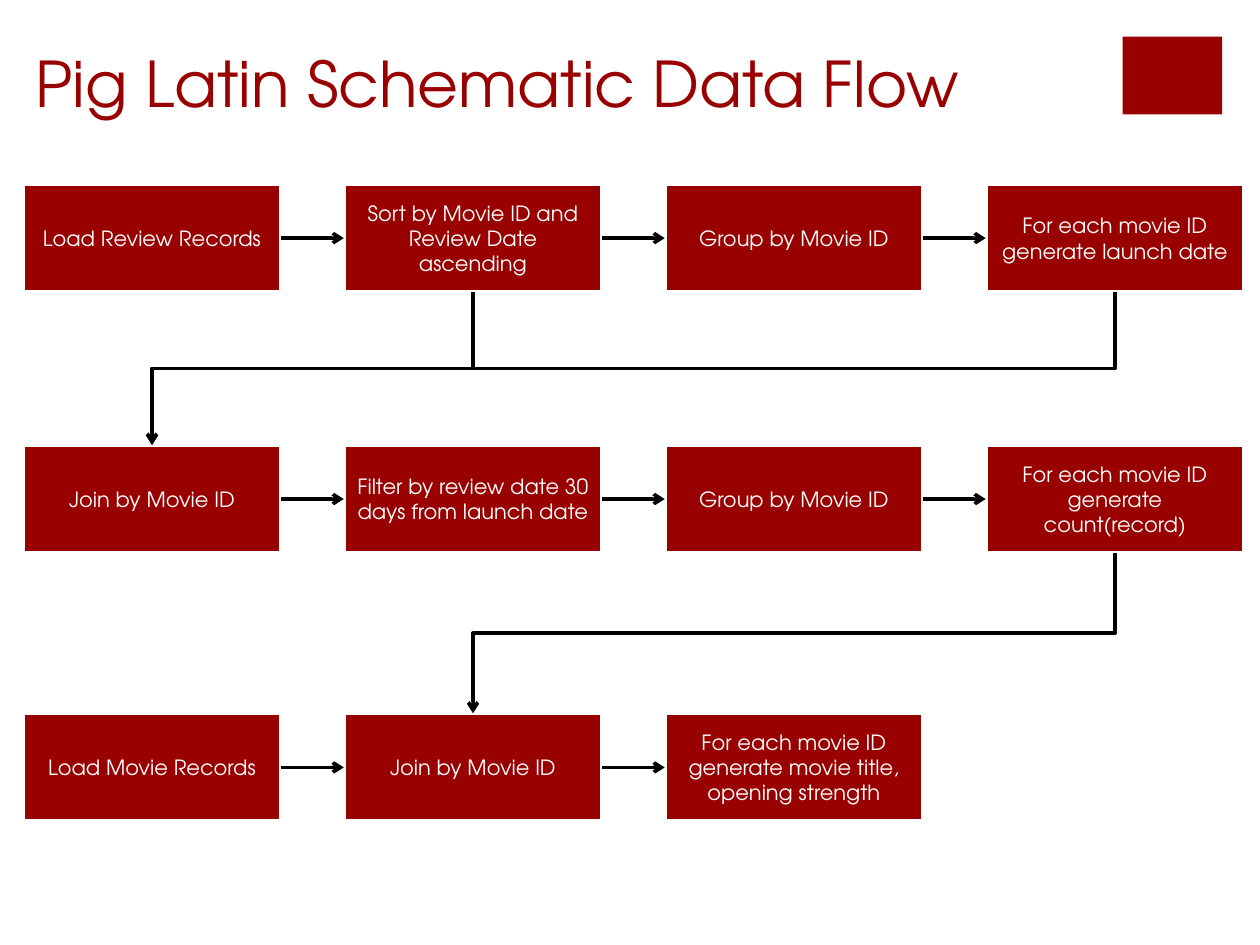
from dataclasses import dataclass

from lxml.etree import SubElement
from pptx import Presentation
from pptx.dml.color import RGBColor
from pptx.enum.shapes import MSO_CONNECTOR as Link, MSO_SHAPE as Preset
from pptx.enum.text import MSO_ANCHOR as Anchor, MSO_AUTO_SIZE as AutoSize, PP_ALIGN as Align
from pptx.oxml.ns import qn
from pptx.util import Cm, Pt


@dataclass(frozen=True)
class Theme:
    font: str = "TeX Gyre Adventor"
    red: RGBColor = RGBColor(0x99, 0x00, 0x00)
    white: RGBColor = RGBColor(0xFF, 0xFF, 0xFF)
    black: RGBColor = RGBColor(0x00, 0x00, 0x00)
    title_size: Pt = Pt(36)
    step_size: Pt = Pt(12)
    border: Pt = Pt(2.5)
    arrow: Pt = Pt(2)


THEME = Theme()

FIRST_COLUMN, COLUMN_PITCH = 0.46, 6.47
ROW_TOPS = (3.71, 8.97, 14.38)
STEP_WIDTH, STEP_HEIGHT = 5.21, 2.18
TOP, LEFT, BOTTOM, RIGHT = range(4)  # connection sites of a rectangle

STAGES = (
    (
        "Load Review Records",
        "Sort by Movie ID and Review Date ascending",
        "Group by Movie ID",
        "For each movie ID generate launch date",
    ),
    (
        "Join by Movie ID",
        "Filter by review date 30 days from launch date",
        "Group by Movie ID",
        "For each movie ID generate count(record)",
    ),
    (
        "Load Movie Records",
        "Join by Movie ID",
        "For each movie ID generate movie title, opening strength",
    ),
)


def format_text(frame, size, color, align):
    frame.word_wrap = True
    frame.vertical_anchor = Anchor.MIDDLE
    for paragraph in frame.paragraphs:
        paragraph.alignment = align
        for run in paragraph.runs:
            run.font.name = THEME.font
            run.font.size = size
            run.font.color.rgb = color


def set_title(slide, text):
    title = slide.shapes.title
    title.left, title.top = Cm(0.46), Cm(0.79)
    title.width, title.height = Cm(24.41), Cm(1.75)
    title.text_frame.text = text
    title.text_frame.auto_size = AutoSize.NONE
    format_text(title.text_frame, THEME.title_size, THEME.red, Align.LEFT)


def add_block(slide, left, top, width, height):
    block = slide.shapes.add_shape(
        Preset.RECTANGLE, Cm(left), Cm(top), Cm(width), Cm(height)
    )
    block.shadow.inherit = False
    block.fill.solid()
    block.fill.fore_color.rgb = THEME.red
    block.line.fill.background()
    return block


def add_step(slide, column, top, text):
    left = FIRST_COLUMN + column * COLUMN_PITCH
    step = add_block(slide, left, top, STEP_WIDTH, STEP_HEIGHT)
    step.line.color.rgb = THEME.white
    step.line.width = THEME.border
    step.text_frame.text = text
    format_text(step.text_frame, THEME.step_size, THEME.white, Align.CENTER)
    return step


def add_arrow(slide, kind, source, source_site, target, target_site):
    arrow = slide.shapes.add_connector(kind, 0, 0, 0, 0)
    arrow.begin_connect(source, source_site)
    arrow.end_connect(target, target_site)
    arrow.line.color.rgb = THEME.black
    arrow.line.width = THEME.arrow
    properties = arrow._element.spPr
    SubElement(properties.find(qn("a:ln")), qn("a:tailEnd"), type="arrow")
    SubElement(properties, qn("a:effectLst"))
    return arrow


def add_return_arrow(slide, source, target):
    """Lead from the bottom of source down and left to the top of target."""
    arrow = add_arrow(slide, Link.ELBOW, source, BOTTOM, target, TOP)
    center_x = (arrow.begin_x + arrow.end_x) // 2
    center_y = (arrow.begin_y + arrow.end_y) // 2
    # A quarter turn makes the first leg vertical, so the sides change places.
    width, height = arrow.height, arrow.width
    transform = arrow._element.spPr.find(qn("a:xfrm"))
    transform.attrib.pop("flipH", None)
    transform.set("rot", str(90 * 60000))
    arrow.left, arrow.top = center_x - width // 2, center_y - height // 2
    arrow.width, arrow.height = width, height


def main():
    deck = Presentation()
    deck.slide_width, deck.slide_height = Cm(25.4), Cm(19.05)
    slide = deck.slides.add_slide(deck.slide_layouts[5])

    add_block(slide, 22.63, 0.74, 2.01, 1.57)
    set_title(slide, "Pig Latin Schematic Data Flow")

    stages = [
        [add_step(slide, column, top, text) for column, text in enumerate(texts)]
        for top, texts in zip(ROW_TOPS, STAGES)
    ]
    for steps in stages:
        for source, target in zip(steps, steps[1:]):
            add_arrow(slide, Link.STRAIGHT, source, RIGHT, target, LEFT)

    review, launch, result = stages
    add_return_arrow(slide, review[1], launch[0])
    add_return_arrow(slide, review[3], launch[0])
    add_return_arrow(slide, launch[3], result[1])

    deck.save("out.pptx")


if __name__ == "__main__":
    main()
